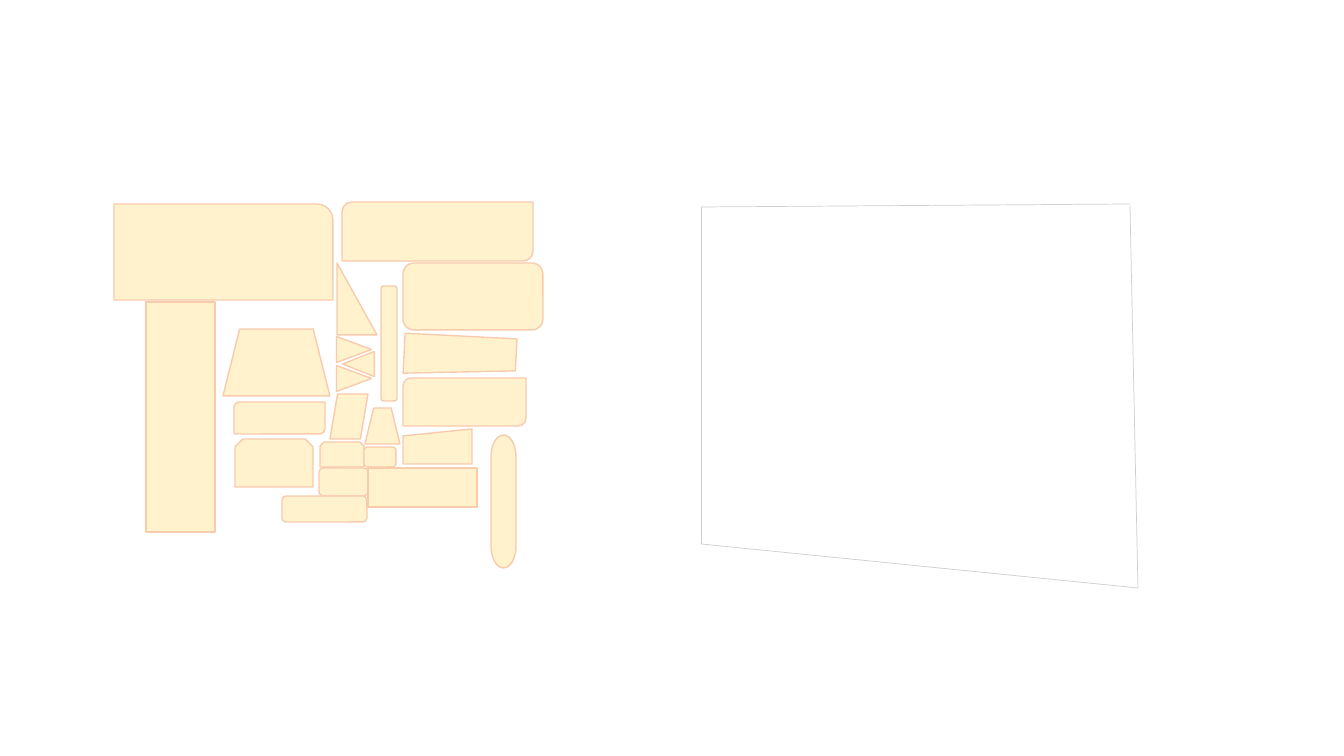
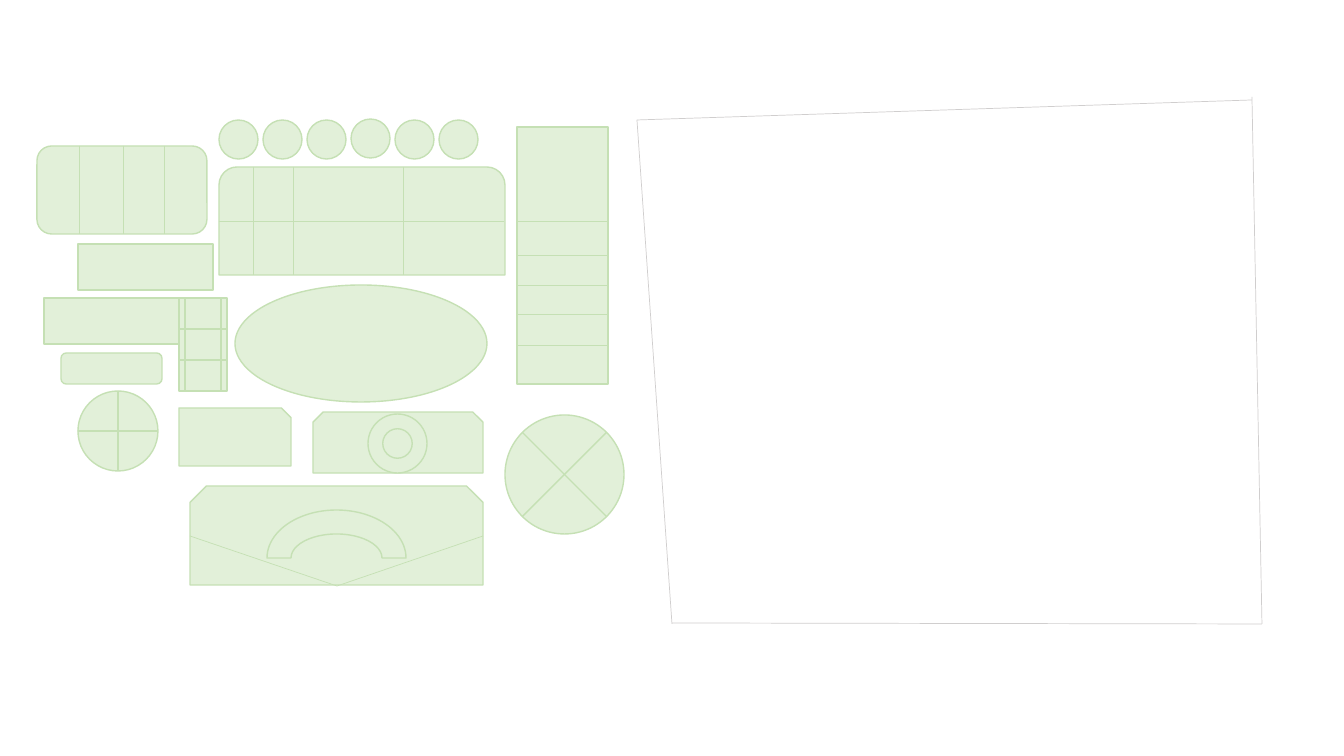
"""Build two slides of garden-plan shapes, each beside an empty plot outline."""
from dataclasses import dataclass

from lxml.etree import SubElement
from pptx import Presentation
from pptx.dml.color import RGBColor
from pptx.enum.shapes import MSO_CONNECTOR, MSO_SHAPE
from pptx.oxml.ns import qn
from pptx.slide import Slide
from pptx.util import Emu, Pt

EMU_PER_PIXEL = 914400 / 100.8
COLORS = {
    "cream": "FFF2CC",
    "peach": "F8CBAD",
    "mint": "E2F0D9",
    "leaf": "C5E0B4",
    "gray": "D0CECE",
}


@dataclass(frozen=True)
class Piece:
    """A preset shape, its box in pixels and its rotation in degrees."""

    kind: MSO_SHAPE
    left: int
    top: int
    width: int
    height: int
    rotation: float = 0


@dataclass(frozen=True)
class Stroke:
    """A thin straight line between two points in pixels."""

    start_x: int
    start_y: int
    end_x: int
    end_y: int


@dataclass(frozen=True)
class Plan:
    """The pieces, dividers, plot outline and colour names of one slide."""

    pieces: list[Piece]
    dividers: list[Stroke]
    outline: list[Stroke]
    fill: str
    border: str


def pixels(length: int) -> Emu:
    """Turn pixels into EMU."""
    return Emu(round(length * EMU_PER_PIXEL))


def color(name: str) -> RGBColor:
    """Look up a colour by name."""
    return RGBColor.from_string(COLORS[name])


def draw_piece(slide: Slide, piece: Piece, fill: str, border: str) -> None:
    """Draw a filled preset shape."""
    box = map(pixels, (piece.left, piece.top, piece.width, piece.height))
    shape = slide.shapes.add_shape(piece.kind, *box)
    shape.rotation = piece.rotation
    shape.shadow.inherit = False
    shape.fill.solid()
    shape.fill.fore_color.rgb = color(fill)
    shape.line.color.rgb = color(border)
    shape.line.width = Pt(1)


def draw_stroke(slide: Slide, stroke: Stroke, name: str) -> None:
    """Draw a thin line without a shadow."""
    ends = map(pixels, (stroke.start_x, stroke.start_y, stroke.end_x, stroke.end_y))
    connector = slide.shapes.add_connector(MSO_CONNECTOR.STRAIGHT, *ends)
    connector.line.color.rgb = color(name)
    connector.line.width = Pt(0.5)
    SubElement(connector._element.spPr, qn("a:effectLst"))


def draw_plan(slide: Slide, plan: Plan) -> None:
    """Draw the pieces, then the dividers and the plot outline."""
    for piece in plan.pieces:
        draw_piece(slide, piece, plan.fill, plan.border)
    for divider in plan.dividers:
        draw_stroke(slide, divider, plan.border)
    for edge in plan.outline:
        draw_stroke(slide, edge, "gray")


def columns(positions: list[int], top: int, bottom: int) -> list[Stroke]:
    """Make vertical dividers."""
    return [Stroke(x, top, x, bottom) for x in positions]


def rows(positions: list[int], left: int, right: int) -> list[Stroke]:
    """Make horizontal dividers."""
    return [Stroke(left, y, right, y) for y in positions]


CREAM_PLAN = Plan(
    pieces=[
        Piece(MSO_SHAPE.SNIP_2_SAME_RECTANGLE, 320, 442, 44, 25),
        Piece(MSO_SHAPE.ROUNDED_RECTANGLE, 364, 447, 32, 20),
        Piece(MSO_SHAPE.TRAPEZOID, 365, 408, 35, 36),
        Piece(MSO_SHAPE.FLOWCHART_DATA, 330, 394, 38, 45),
        Piece(MSO_SHAPE.FLOWCHART_ALTERNATE_PROCESS, 319, 468, 49, 28),
        Piece(MSO_SHAPE.ROUND_2_DIAG_RECTANGLE, 234, 402, 91, 32),
        Piece(MSO_SHAPE.FLOWCHART_PROCESS, 368, 468, 109, 39),
        Piece(MSO_SHAPE.SNIP_2_SAME_RECTANGLE, 235, 439, 78, 48),
        Piece(MSO_SHAPE.FLOWCHART_MANUAL_INPUT, 403, 429, 69, 35),
        Piece(MSO_SHAPE.ROUNDED_RECTANGLE, 282, 496, 85, 26),
        Piece(MSO_SHAPE.ROUND_2_DIAG_RECTANGLE, 403, 378, 123, 48),
        Piece(MSO_SHAPE.TRAPEZOID, 223, 329, 107, 67),
        Piece(MSO_SHAPE.ISOSCELES_TRIANGLE, 341, 361, 26, 35, 90),
        Piece(MSO_SHAPE.ISOSCELES_TRIANGLE, 341, 332, 26, 35, 90),
        Piece(MSO_SHAPE.RIGHT_TRIANGLE, 337, 263, 40, 72),
        Piece(MSO_SHAPE.FLOWCHART_MANUAL_INPUT, 404, 336, 112, 40, 182.9),
        Piece(MSO_SHAPE.FLOWCHART_PROCESS, 146, 302, 69, 230),
        Piece(MSO_SHAPE.ROUND_1_RECTANGLE, 114, 204, 219, 96),
        Piece(MSO_SHAPE.ISOSCELES_TRIANGLE, 346, 348, 25, 32, 270),
        Piece(MSO_SHAPE.FLOWCHART_ALTERNATE_PROCESS, 381, 286, 16, 115),
        Piece(MSO_SHAPE.ROUNDED_RECTANGLE, 403, 263, 140, 67),
        Piece(MSO_SHAPE.FLOWCHART_TERMINATOR, 437, 489, 133, 25, 90),
        Piece(MSO_SHAPE.ROUND_2_DIAG_RECTANGLE, 342, 202, 191, 59),
    ],
    dividers=[],
    outline=[
        Stroke(701, 207, 1130, 204),
        Stroke(1130, 206, 1138, 588),
        Stroke(701, 207, 701, 544),
        Stroke(701, 544, 1138, 588),
    ],
    fill="cream",
    border="peach",
)

CIRCLE_TOPS = [120, 120, 120, 119, 120, 120]

GREEN_PLAN = Plan(
    pieces=[
        Piece(MSO_SHAPE.OVAL, 235, 285, 252, 117),
        Piece(MSO_SHAPE.ROUND_2_SAME_RECTANGLE, 219, 167, 286, 108),
        *(
            Piece(MSO_SHAPE.FLOWCHART_PREDEFINED_PROCESS, 179, 298 + 31 * row, 48, 31)
            for row in range(3)
        ),
        Piece(MSO_SHAPE.FLOWCHART_PROCESS, 44, 298, 135, 46),
        Piece(MSO_SHAPE.FLOWCHART_PROCESS, 78, 244, 135, 46),
        Piece(MSO_SHAPE.FLOWCHART_ALTERNATE_PROCESS, 37, 146, 170, 88),
        Piece(MSO_SHAPE.ROUNDED_RECTANGLE, 61, 353, 101, 31),
        Piece(MSO_SHAPE.RECTANGLE, 517, 127, 91, 257),
        Piece(MSO_SHAPE.FLOWCHART_OR, 78, 391, 80, 80),
        Piece(MSO_SHAPE.SNIP_1_RECTANGLE, 179, 408, 112, 58),
        Piece(MSO_SHAPE.SNIP_2_SAME_RECTANGLE, 313, 412, 170, 61),
        Piece(MSO_SHAPE.DONUT, 368, 414, 59, 59),
        *(
            Piece(MSO_SHAPE.FLOWCHART_CONNECTOR, 219 + 44 * column, top, 39, 39)
            for column, top in enumerate(CIRCLE_TOPS)
        ),
        Piece(MSO_SHAPE.SNIP_2_SAME_RECTANGLE, 190, 486, 293, 99),
        Piece(MSO_SHAPE.BLOCK_ARC, 267, 510, 139, 96),
        Piece(MSO_SHAPE.FLOWCHART_SUMMING_JUNCTION, 505, 415, 119, 119),
    ],
    dividers=[
        *columns([253, 293, 403], 167, 275),
        *rows([221], 219, 504),
        *columns([79, 123, 164], 146, 234),
        Stroke(190, 536, 337, 586),
        Stroke(337, 586, 483, 536),
        *rows([221, 255, 285, 314, 345], 517, 608),
    ],
    outline=[
        Stroke(637, 120, 672, 624),
        Stroke(672, 623, 1262, 624),
        Stroke(1262, 624, 1252, 97),
        Stroke(637, 120, 1252, 100),
    ],
    fill="mint",
    border="leaf",
)


def main() -> None:
    """Build and save the presentation."""
    presentation = Presentation()
    presentation.slide_width = pixels(1344)
    presentation.slide_height = pixels(756)
    blank_layout = presentation.slide_layouts[6]
    for plan in (CREAM_PLAN, GREEN_PLAN):
        draw_plan(presentation.slides.add_slide(blank_layout), plan)
    presentation.save("out.pptx")


main()
